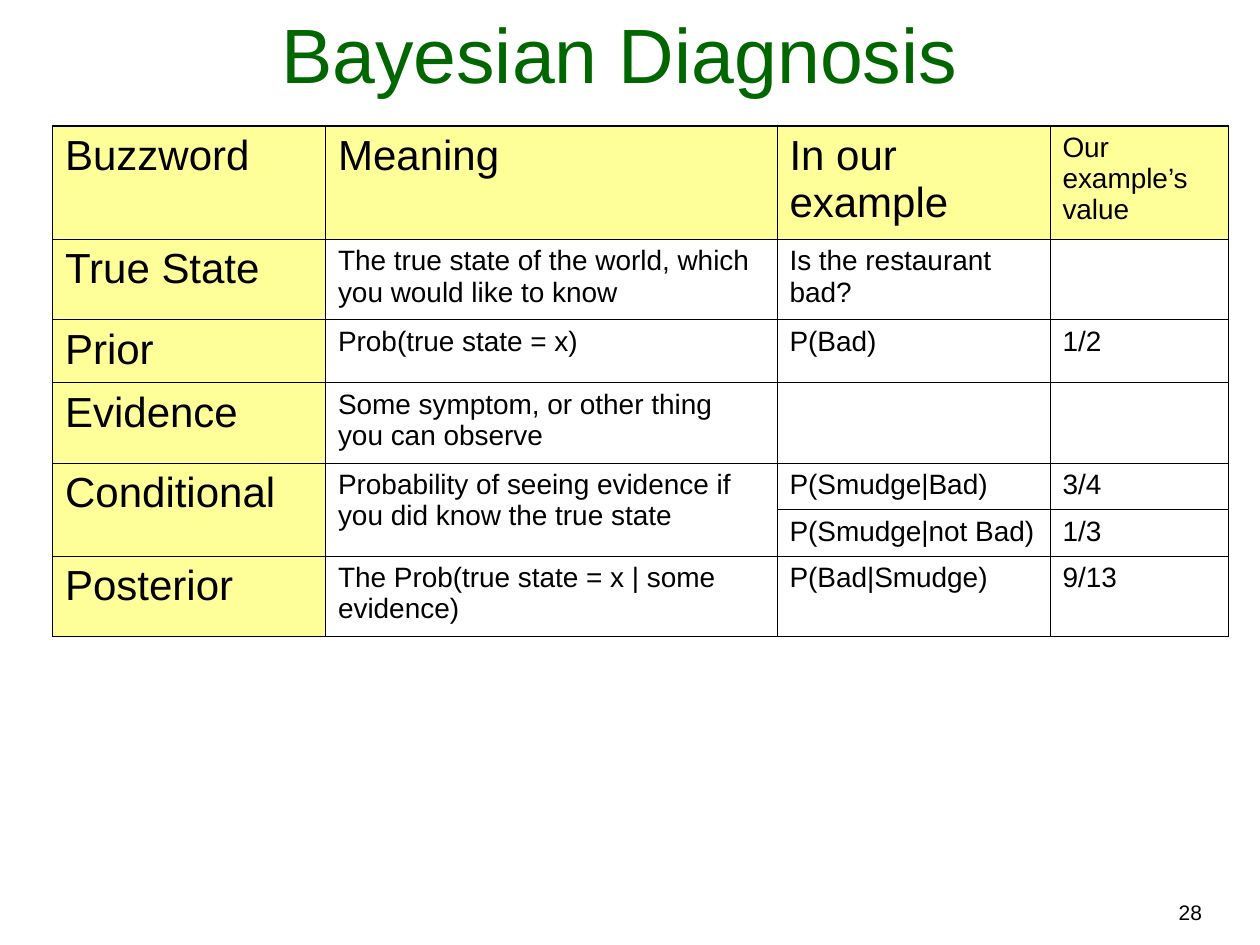
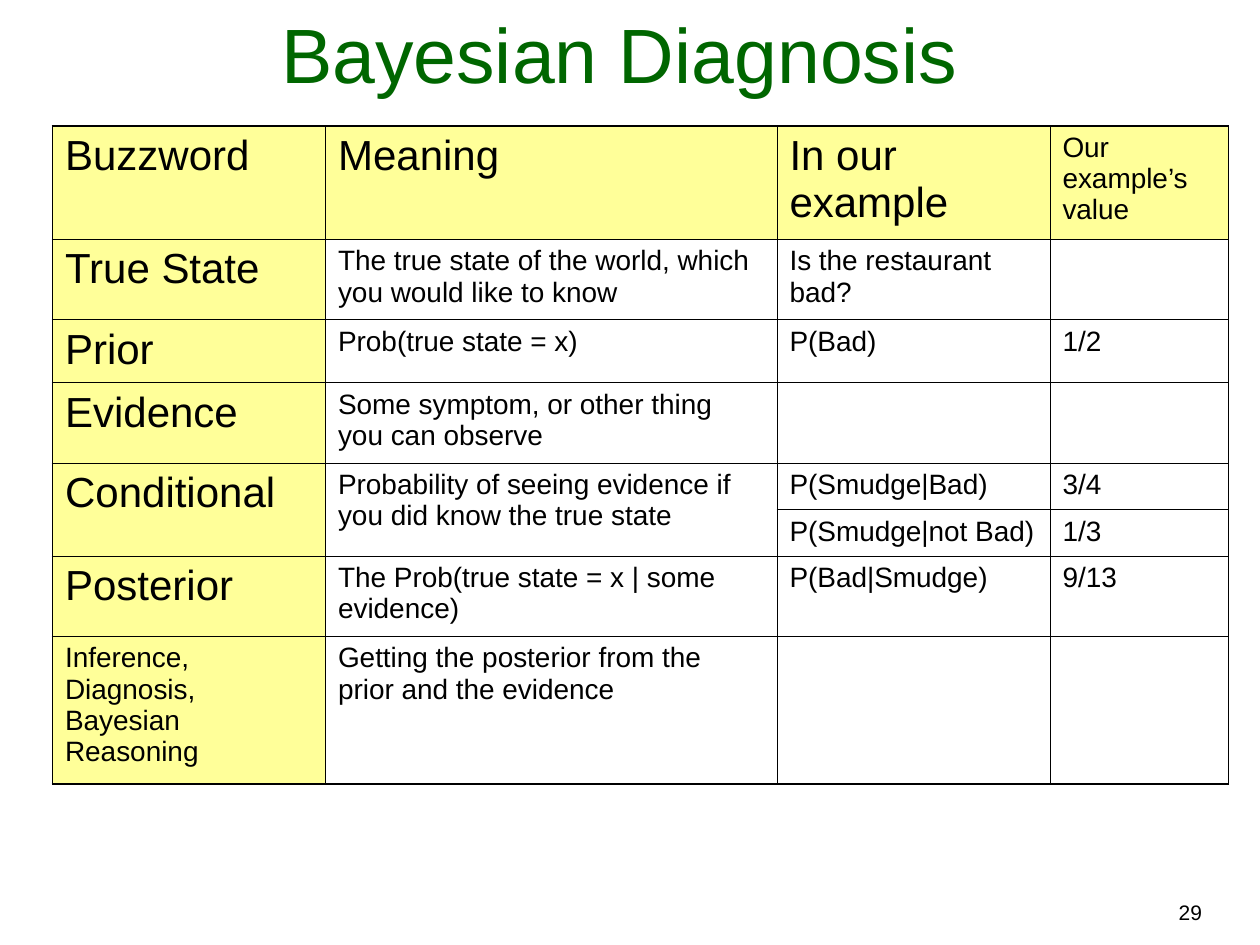
from lxml.etree import SubElement
from pptx import Presentation
from pptx.dml.color import RGBColor
from pptx.enum.text import MSO_ANCHOR, MSO_AUTO_SIZE, PP_ALIGN
from pptx.oxml import parse_xml
from pptx.oxml.ns import nsdecls, qn
from pptx.util import Pt

COLORS = {"title": "006600", "text": "000000", "label": "FFFF99", "cell": "FFFFFF", "border": "000000"}
COLUMN_WIDTHS = [156, 258, 156, 102]
GLOSSARY = [
    (64.6, ["Buzzword", "Meaning", "In our example", "Our example’s value"]),
    (45.9, ["True State", "The true state of the world, which you would like to know",
            "Is the restaurant bad?", ""]),
    (36, ["Prior", "Prob(true state = x)", "P(Bad)", "1/2"]),
    (45.9, ["Evidence", "Some symptom, or other thing you can observe", "", ""]),
    (26.6, ["Conditional", "Probability of seeing evidence if you did know the true state",
            "P(Smudge|Bad)", "3/4"]),
    (26.6, [None, None, "P(Smudge|not Bad)", "1/3"]),
    (45.9, ["Posterior", "The Prob(true state = x | some evidence)", "P(Bad|Smudge)", "9/13"]),
]
INFERENCE = (84.3, ["Inference, Diagnosis, Bayesian Reasoning",
                    "Getting the posterior from the prior and the evidence", "", ""])
SMALL_LABELS = {GLOSSARY[0][1][-1], INFERENCE[1][0]}


class Deck:
    """Builds slides that share one style."""

    font_name = "Arial"
    outer_border, inner_border = 1.08, 0.45

    def __init__(self):
        self.presentation = Presentation()
        self.presentation.slide_width, self.presentation.slide_height = Pt(720), Pt(540)
        self.slide = None

    def add_slide(self, title, number):
        self.slide = self.presentation.slides.add_slide(self.presentation.slide_layouts[5])
        self.title(title)
        self.page_number(number)

    def set_text(self, paragraph, text, size, color="text", alignment=PP_ALIGN.LEFT):
        paragraph.text = text
        paragraph.alignment = alignment
        paragraph.font.name = self.font_name
        paragraph.font.size = Pt(size)
        paragraph.font.color.rgb = RGBColor.from_string(COLORS[color])

    def title(self, text):
        shape = self.slide.shapes.title
        shape.left, shape.top, shape.width, shape.height = Pt(18), Pt(6), Pt(672), Pt(54)
        frame = shape.text_frame
        frame.auto_size = MSO_AUTO_SIZE.NONE
        frame.vertical_anchor = MSO_ANCHOR.BOTTOM
        self.set_text(frame.paragraphs[0], text, 44, "title", PP_ALIGN.CENTER)

    def page_number(self, number):
        frame = self.slide.shapes.add_textbox(Pt(412), Pt(510.5), Pt(282), Pt(21.6)).text_frame
        frame.word_wrap = True
        self.set_text(frame.paragraphs[0], str(number), 12, alignment=PP_ALIGN.RIGHT)

    def table(self, rows):
        row_count, column_count = len(rows), len(COLUMN_WIDTHS)
        height = sum(row_height for row_height, _ in rows)
        table = self.slide.shapes.add_table(
            row_count, column_count, Pt(30), Pt(72), Pt(sum(COLUMN_WIDTHS)), Pt(height)).table
        table.first_row = table.horz_banding = False
        for column, width in zip(table.columns, COLUMN_WIDTHS):
            column.width = Pt(width)
        for row, (row_height, texts) in enumerate(rows):
            table.rows[row].height = Pt(row_height)
            for column, text in enumerate(texts):
                cell = table.cell(row, column)
                is_label = row == 0 or column == 0
                self.cell(cell, text, is_label)
                self.borders(cell, {"L": column == 0, "R": column == column_count - 1,
                                    "T": row == 0, "B": row == row_count - 1})
                if text is None:
                    table.cell(row - 1, column).merge(cell)

    def cell(self, cell, text, is_label):
        cell.fill.solid()
        cell.fill.fore_color.rgb = RGBColor.from_string(COLORS["label" if is_label else "cell"])
        if text is not None:
            size = 24 if is_label and text not in SMALL_LABELS else 16
            self.set_text(cell.text_frame.paragraphs[0], text, size)

    def borders(self, cell, outer_sides):
        properties = cell._tc.get_or_add_tcPr()
        for index, (side, is_outer) in enumerate(outer_sides.items()):
            line = parse_xml(f"<a:ln{side} {nsdecls('a')}/>")
            line.set("w", str(Pt(self.outer_border if is_outer else self.inner_border)))
            fill = SubElement(line, qn("a:solidFill"))
            SubElement(fill, qn("a:srgbClr")).set("val", COLORS["border"])
            properties.insert(index, line)


def main():
    deck = Deck()
    for number, rows in ((28, GLOSSARY), (29, GLOSSARY + [INFERENCE])):
        deck.add_slide("Bayesian Diagnosis", number)
        deck.table(rows)
    deck.presentation.save("out.pptx")


if __name__ == "__main__":
    main()
